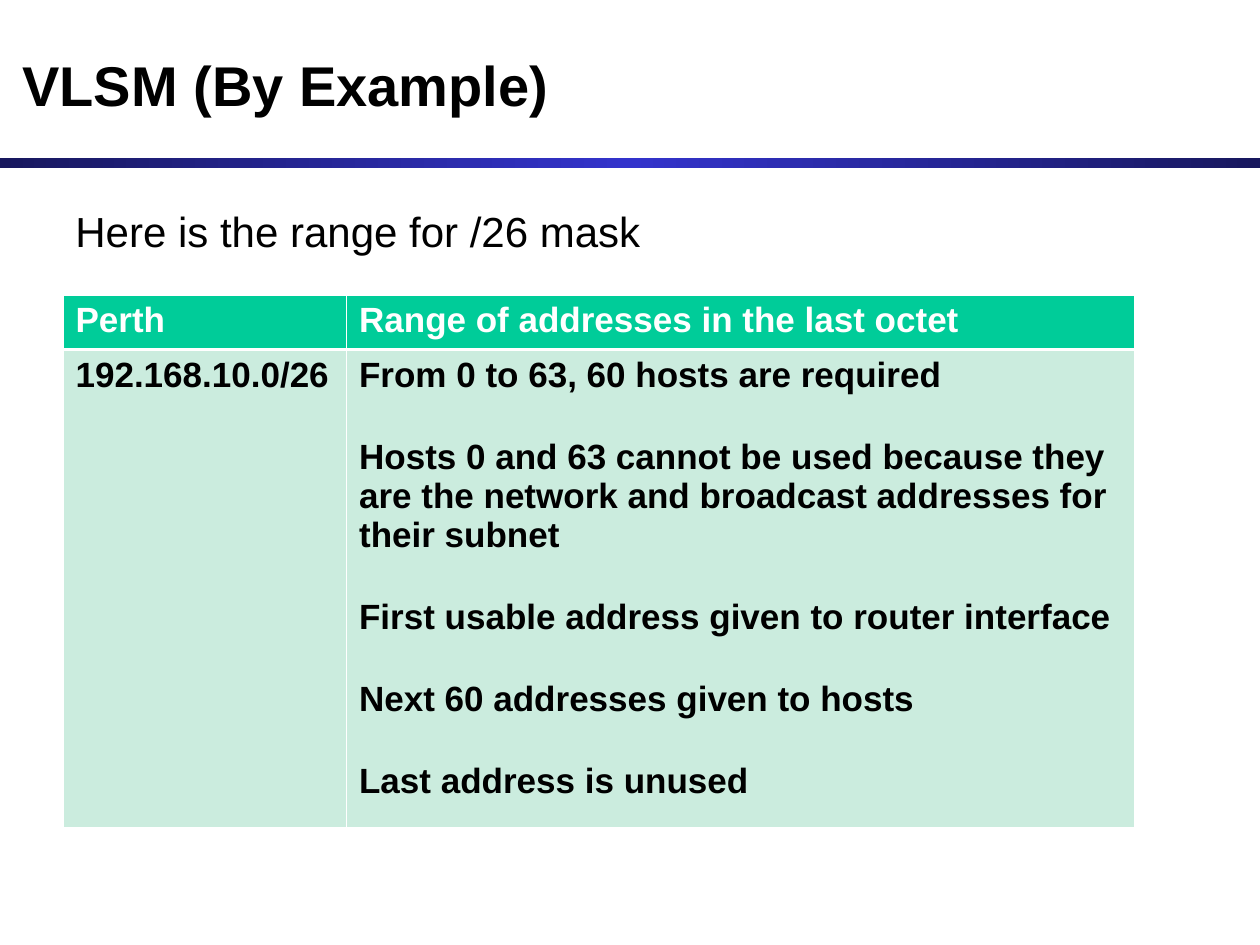
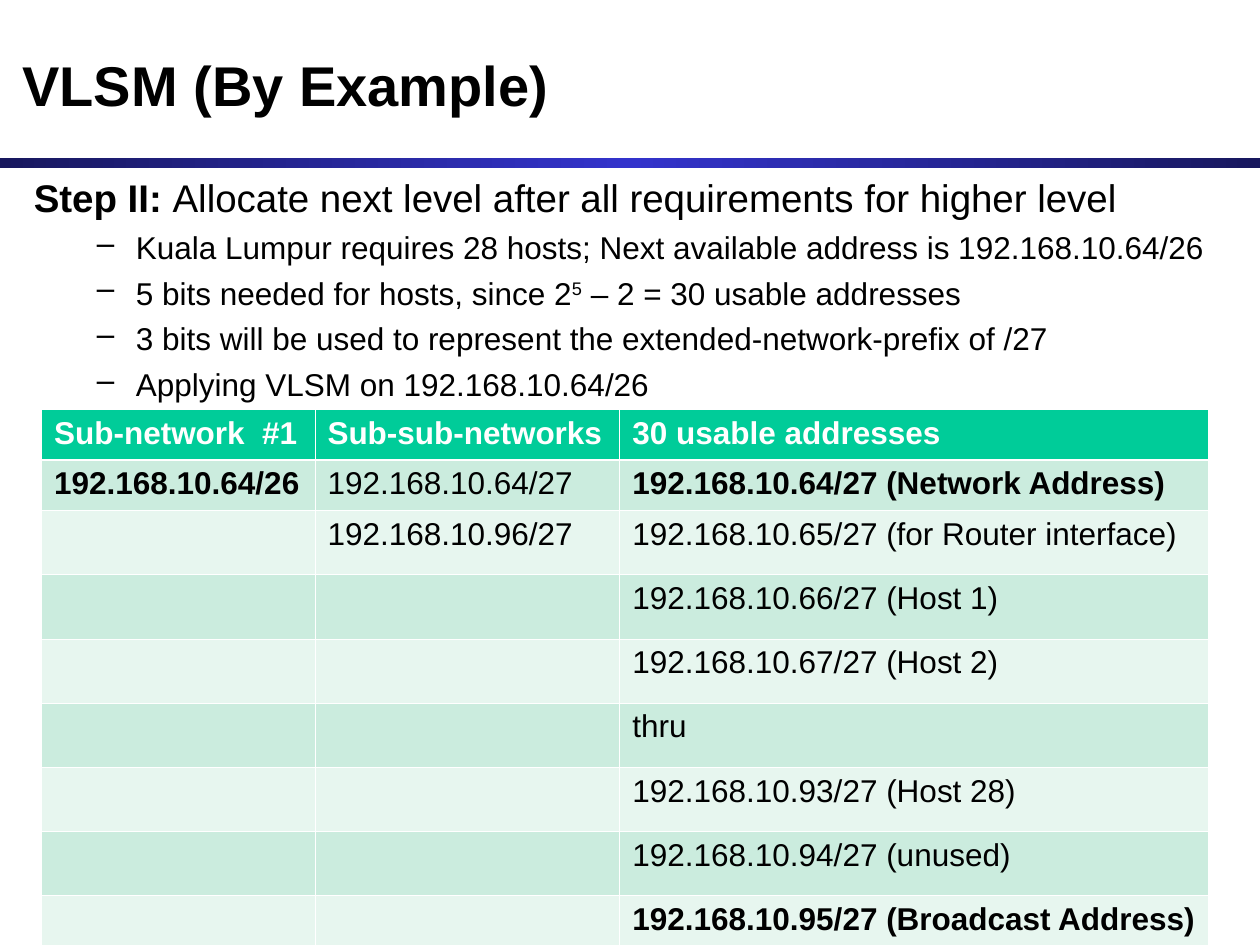
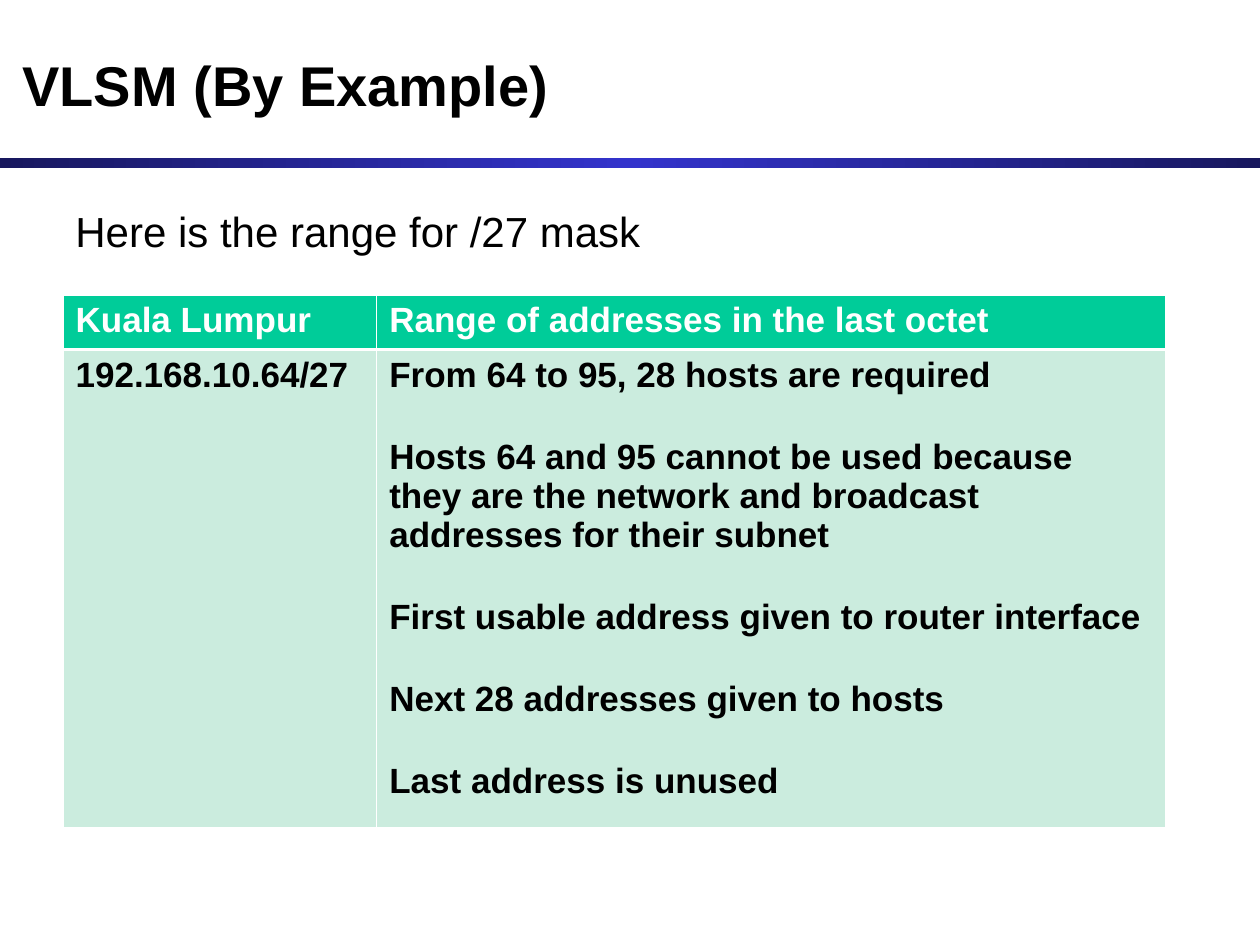
"""Build three slides that work through an example of variable-length subnet masks."""
from copy import deepcopy
from dataclasses import dataclass

from lxml import etree
from pptx import Presentation
from pptx.dml.color import RGBColor
from pptx.enum.shapes import MSO_SHAPE
from pptx.enum.text import MSO_ANCHOR
from pptx.oxml.ns import qn
from pptx.slide import Slide
from pptx.table import _Cell
from pptx.text.text import TextFrame
from pptx.util import Inches, Pt

RECTANGLE = MSO_SHAPE.RECTANGLE
TOP = MSO_ANCHOR.TOP
MIDDLE = MSO_ANCHOR.MIDDLE
BLANK_LAYOUT = 6


@dataclass(frozen=True)
class Theme:
    """Colours, font and type sizes shared by all slides."""

    font: str = "Arial"
    black: str = "000000"
    white: str = "FFFFFF"
    band_edge: str = "18185E"
    band_middle: str = "3333CC"
    header_fill: str = "00CC99"
    row_fills: tuple[str, str] = ("CBECDE", "E7F6EF")
    title_size: float = 32
    intro_size: float = 24
    step_size: float = 22
    range_size: float = 20
    detail_size: float = 18
    thin_border: float = 0.45
    header_border: float = 1.47


THEME = Theme()


@dataclass(frozen=True)
class Run:
    """A piece of text in one format."""

    text: str
    bold: bool = False
    superscript: bool = False


@dataclass(frozen=True)
class Line:
    """A paragraph with its size, colour and spacing."""

    runs: tuple[Run, ...]
    size: float
    color: str = THEME.black
    space_before: float = 0
    dashed: bool = False


@dataclass(frozen=True)
class Box:
    """A place on the slide, in inches."""

    left: float
    top: float
    width: float
    height: float

    def lengths(self) -> tuple[int, ...]:
        """Return the four lengths in slide units."""
        return tuple(Inches(value) for value in (self.left, self.top, self.width, self.height))


@dataclass(frozen=True)
class TableLayout:
    """The corner, column widths, row heights and type size of a table."""

    left: float
    top: float
    columns: tuple[float, ...]
    rows: tuple[float, ...]
    size: float

    def box(self) -> Box:
        """Return the area covered by the table."""
        return Box(self.left, self.top, sum(self.columns), sum(self.rows))


@dataclass(frozen=True)
class SubnetRange:
    """The facts about one site's address range."""

    site: str
    network: str
    mask: str
    first: int
    last: int
    hosts: int
    columns: tuple[float, float]


TITLE_BOX = Box(0.08, 0.17, 9.83, 1)
BAND_BOX = Box(0, 1.25, 10, 0.08)
INTRO_BOX = Box(0.5, 1.58, 8.58, 0.58)
STEP_BOX = Box(0.17, 1.33, 9.75, 1.92)

PERTH = SubnetRange("Perth", "192.168.10.0/26", "/26", 0, 63, 60, (2.25, 6.25))
KUALA_LUMPUR = SubnetRange("Kuala Lumpur", "192.168.10.64/27", "/27", 64, 95, 28, (2.49, 6.26))

STEP_RUNS = (
    Run("Step II: ", bold=True),
    Run("Allocate next level after all requirements for higher level"),
)
STEP_DETAILS = (
    (Run("Kuala Lumpur requires 28 hosts; Next available address is 192.168.10.64/26"),),
    (
        Run("5 bits needed for hosts, since 2"),
        Run("5", superscript=True),
        Run(" – 2 = 30 usable addresses"),
    ),
    (Run("3 bits will be used to represent the extended-network-prefix of /27"),),
    (Run("Applying VLSM on 192.168.10.64/26"),),
)
ALLOCATION_LAYOUT = TableLayout(
    0.33, 3.25, (2.17, 2.42, 4.67), (0.4, 0.4, *[0.51] * 6, 0.39), THEME.detail_size
)
ALLOCATION_HEADER = ("Sub-network  #1", "Sub-sub-networks", "30 usable addresses")
ALLOCATION_COLUMNS = (
    (Run("192.168.10.64/26", bold=True),),
    (Run("192.168.10.64/27"), Run("192.168.10.96/27")),
    (
        Run("192.168.10.64/27 (Network Address)", bold=True),
        Run("192.168.10.65/27 (for Router interface)"),
        Run("192.168.10.66/27 (Host 1)"),
        Run("192.168.10.67/27 (Host 2)"),
        Run("thru"),
        Run("192.168.10.93/27 (Host 28)"),
        Run("192.168.10.94/27 (unused)"),
        Run("192.168.10.95/27 (Broadcast Address)", bold=True),
    ),
)


def write_lines(frame: TextFrame, lines: tuple[Line, ...]) -> None:
    """Write paragraphs into an empty text frame."""
    for index, line in enumerate(lines):
        paragraph = frame.paragraphs[0] if index == 0 else frame.add_paragraph()
        paragraph.space_before = Pt(line.space_before)
        if line.dashed:
            properties = paragraph._p.get_or_add_pPr()
            properties.set("marL", str(Inches(0.81)))
            properties.set("indent", str(Inches(-0.31)))
            etree.SubElement(properties, qn("a:buChar")).set("char", "–")
        for item in line.runs:
            run = paragraph.add_run()
            run.text = item.text
            formats = {"name": THEME.font, "size": Pt(line.size), "bold": item.bold}
            for name, value in formats.items():
                setattr(run.font, name, value)
            run.font.color.rgb = RGBColor.from_string(line.color)
            if item.superscript:
                run._r.get_or_add_rPr().set("baseline", "30000")


def add_text(slide: Slide, box: Box, lines: tuple[Line, ...], anchor: MSO_ANCHOR = TOP) -> None:
    """Add a wrapping text box."""
    frame = slide.shapes.add_textbox(*box.lengths()).text_frame
    formats = {"word_wrap": True, "vertical_anchor": anchor}
    for name, value in formats.items():
        setattr(frame, name, value)
    write_lines(frame, lines)


def add_band(slide: Slide) -> None:
    """Add the gradient band below the title."""
    band = slide.shapes.add_shape(RECTANGLE, *BAND_BOX.lengths())
    band.shadow.inherit = False
    band.line.fill.background()
    band.fill.gradient()
    band.fill.gradient_angle = 0
    stop_list = band._element.spPr.find(f".//{qn('a:gsLst')}")
    stop_list.append(deepcopy(stop_list[0]))
    colors = (THEME.band_edge, THEME.band_middle, THEME.band_edge)
    for index, (stop, color) in enumerate(zip(band.fill.gradient_stops, colors)):
        stop.position = index / 2
        stop.color.rgb = RGBColor.from_string(color)


def format_cell(cell: _Cell, row: int) -> None:
    """Give a cell its white borders and its fill."""
    properties = cell._tc.get_or_add_tcPr()
    widths = dict.fromkeys(("L", "R", "T", "B"), THEME.thin_border)
    if row == 0:
        widths["B"] = THEME.header_border
    elif row == 1:
        widths["T"] = THEME.header_border
    for side, width in widths.items():
        border = etree.SubElement(properties, qn(f"a:ln{side}"))
        border.set("w", str(Pt(width)))
        fill = etree.SubElement(border, qn("a:solidFill"))
        etree.SubElement(fill, qn("a:srgbClr")).set("val", THEME.white)
    cell.fill.solid()
    color = THEME.header_fill if row == 0 else THEME.row_fills[(row - 1) % 2]
    cell.fill.fore_color.rgb = RGBColor.from_string(color)


def add_address_table(
    slide: Slide,
    layout: TableLayout,
    header: tuple[str, ...],
    cells: dict[tuple[int, int], tuple[Line, ...]],
) -> None:
    """Add a table with a header row and the given body cells."""
    frame = slide.shapes.add_table(len(layout.rows), len(layout.columns), *layout.box().lengths())
    table = frame.table
    for column, width in zip(table.columns, layout.columns):
        column.width = Inches(width)
    header_cells = {
        (0, column): (Line((Run(text, bold=True),), layout.size, THEME.white),)
        for column, text in enumerate(header)
    }
    contents = header_cells | cells
    for row, height in enumerate(layout.rows):
        table.rows[row].height = Inches(height)
        for column in range(len(layout.columns)):
            cell = table.cell(row, column)
            format_cell(cell, row)
            write_lines(cell.text_frame, contents.get((row, column), ()))


def add_titled_slide(presentation: Presentation) -> Slide:
    """Add a blank slide with the band and the title."""
    slide = presentation.slides.add_slide(presentation.slide_layouts[BLANK_LAYOUT])
    add_band(slide)
    title = Line((Run("VLSM (By Example)", bold=True),), THEME.title_size)
    add_text(slide, TITLE_BOX, (title,), MIDDLE)
    return slide


def add_range_slide(presentation: Presentation, subnet: SubnetRange) -> None:
    """Add a slide that explains the address range of one site."""
    slide = add_titled_slide(presentation)
    intro = Run(f"Here is the range for {subnet.mask} mask")
    add_text(slide, INTRO_BOX, (Line((intro,), THEME.intro_size),))
    notes = (
        f"From {subnet.first} to {subnet.last}, {subnet.hosts} hosts are required",
        f"Hosts {subnet.first} and {subnet.last} cannot be used because they are "
        "the network and broadcast addresses for their subnet",
        "First usable address given to router interface",
        f"Next {subnet.hosts} addresses given to hosts",
        "Last address is unused",
    )
    layout = TableLayout(0.5, 2.34, subnet.columns, (0.43, 3.76), THEME.range_size)
    cells = {
        (1, 0): (Line((Run(subnet.network, bold=True),), layout.size),),
        (1, 1): tuple(
            Line((Run(note, bold=True),), layout.size, space_before=24.5 if index else 0)
            for index, note in enumerate(notes)
        ),
    }
    add_address_table(slide, layout, (subnet.site, "Range of addresses in the last octet"), cells)


def add_allocation_slide(presentation: Presentation) -> None:
    """Add the slide that divides the next free sub-network."""
    slide = add_titled_slide(presentation)
    details = tuple(
        Line(runs, THEME.detail_size, space_before=4.5, dashed=True) for runs in STEP_DETAILS
    )
    add_text(slide, STEP_BOX, (Line(STEP_RUNS, THEME.step_size), *details))
    cells = {
        (row, column): (Line((run,), ALLOCATION_LAYOUT.size),)
        for column, runs in enumerate(ALLOCATION_COLUMNS)
        for row, run in enumerate(runs, start=1)
    }
    add_address_table(slide, ALLOCATION_LAYOUT, ALLOCATION_HEADER, cells)


def main() -> None:
    """Build and save the presentation."""
    presentation = Presentation()
    presentation.slide_width = Inches(10)
    presentation.slide_height = Inches(7.5)
    add_range_slide(presentation, PERTH)
    add_allocation_slide(presentation)
    add_range_slide(presentation, KUALA_LUMPUR)
    presentation.save("out.pptx")


if __name__ == "__main__":
    main()
